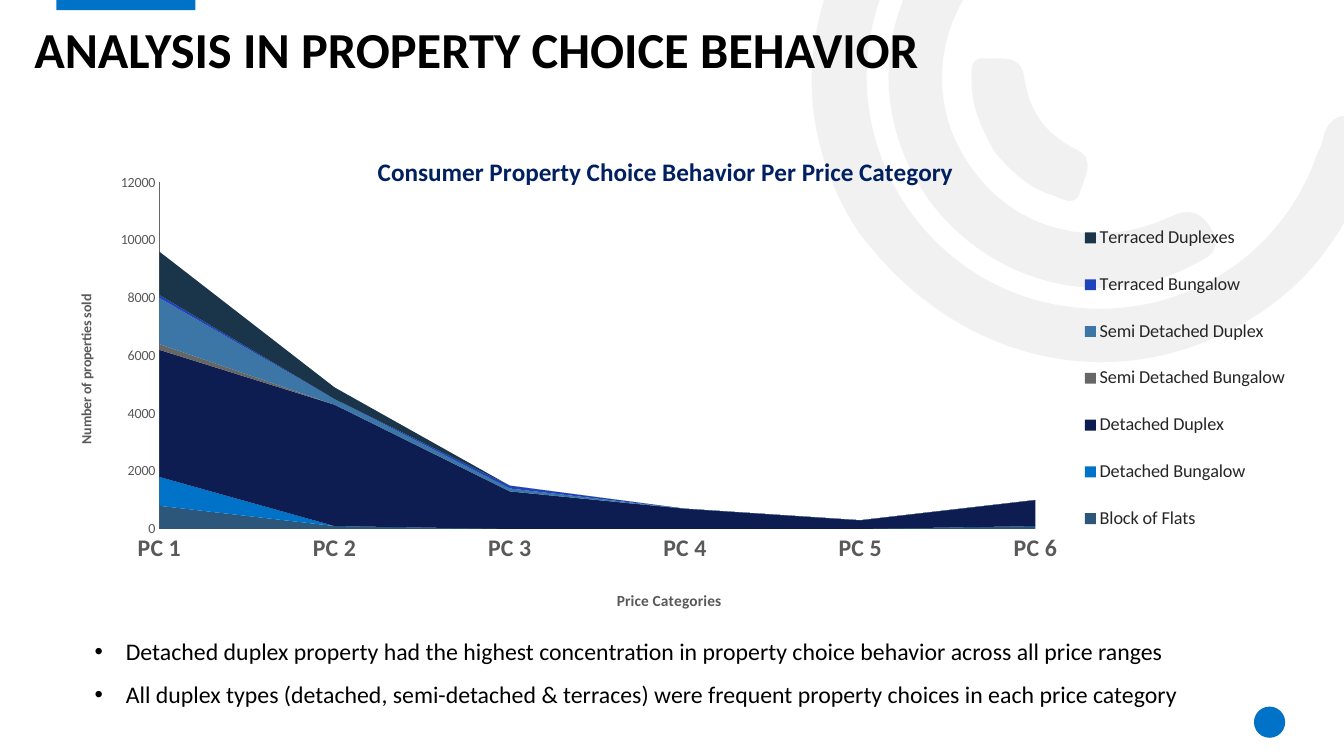
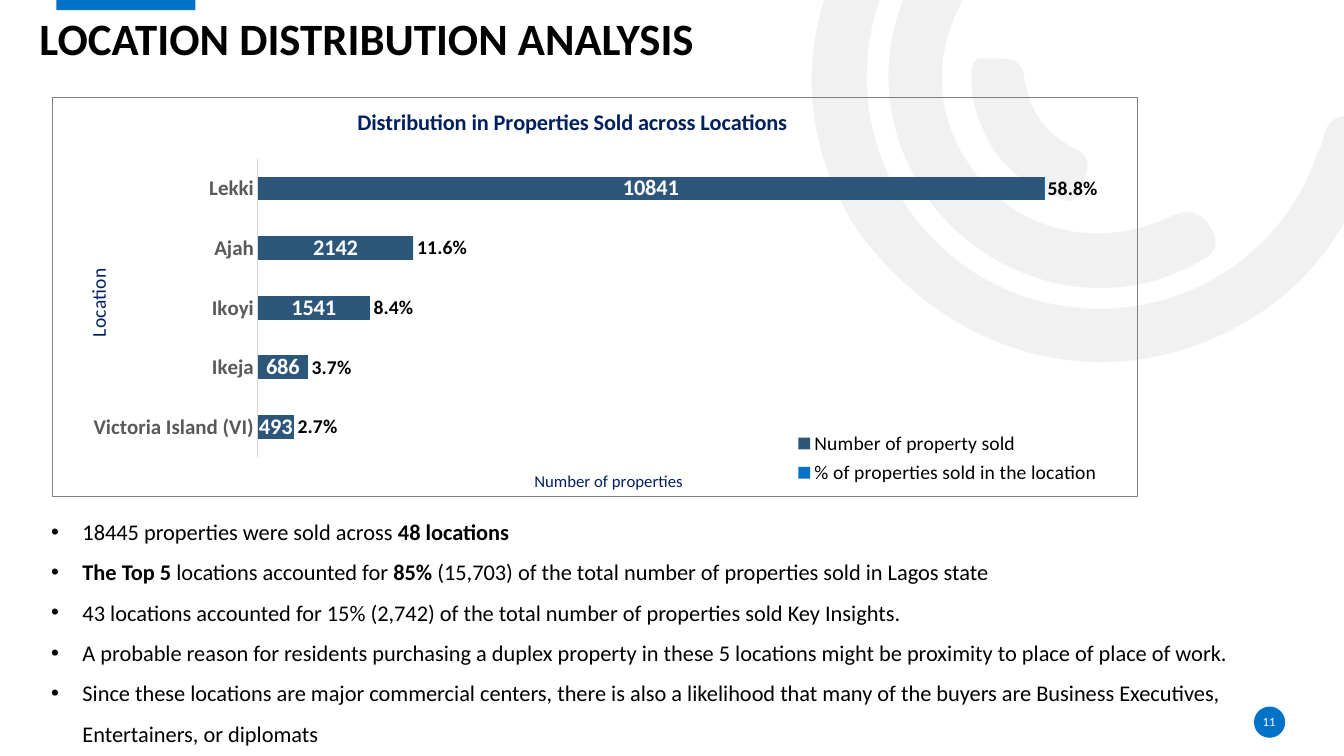
"""Build two slides on property sales: choice by price and by location."""
from lxml.etree import SubElement
from pptx import Presentation
from pptx.chart.data import CategoryChartData
from pptx.dml.color import RGBColor
from pptx.enum.chart import (XL_CHART_TYPE, XL_LABEL_POSITION,
                             XL_LEGEND_POSITION, XL_TICK_LABEL_POSITION,
                             XL_TICK_MARK)
from pptx.enum.shapes import MSO_SHAPE
from pptx.enum.text import MSO_ANCHOR, PP_ALIGN
from pptx.oxml.ns import qn
from pptx.util import Inches, Pt

FONT = "Calibri"
COLORS = {
    "black": "000000", "white": "FFFFFF", "ring": "E7E6E6",
    "accent": "0072C7", "head": "002060", "label": "595959",
    "legend": "262626", "axis": "666666", "pale": "D9D9D9",
    "frame": "808080", "steel": "2C567A", "navy": "0D1D51",
    "gray": "666666", "sky": "3C76A6", "royal": "1E44BC",
    "dark": "1A3449",
}
RINGS = [
    [(8.51, 2.29), (7.99, 1.49), (7.87, 0.5), (8.38, -0.5),
     (8.9, -1.52), (9.76, -2.03), (10.9, -2.07),
     (11.05, -2.07), (11.21, -2.1), (11.31, -1.95),
     (11.44, -1.75), (11.27, -1.54), (10.98, -1.54),
     (9.67, -1.54), (8.65, -0.59), (8.6, 0.68),
     (8.56, 1.81), (9.36, 2.81), (10.46, 3.02),
     (11.6, 3.24), (12.7, 2.61), (13.07, 1.52),
     (13.09, 1.48), (13.11, 1.44), (13.12, 1.4),
     (13.16, 1.19), (13.27, 1.11), (13.49, 1.17),
     (13.73, 1.24), (13.67, 1.41), (13.61, 1.56),
     (13.34, 2.45), (12.78, 3.07), (11.91, 3.41),
     (10.7, 3.87), (9.36, 3.45), (8.51, 2.29)],
    [(9.22, 1.99), (8.62, 1.15), (8.69, 0.07), (9.4, -0.68),
     (9.51, -0.79), (9.62, -0.95), (9.8, -0.78),
     (9.95, -0.64), (9.97, -0.5), (9.79, -0.32),
     (9.25, 0.26), (9.2, 1.08), (9.65, 1.68),
     (10.08, 2.29), (10.88, 2.49), (11.61, 2.15),
     (11.82, 2.05), (11.93, 2.12), (12.03, 2.29),
     (12.13, 2.5), (11.97, 2.56), (11.83, 2.63),
     (10.96, 3.1), (9.83, 2.82), (9.22, 1.99)],
    [(9.87, 1.51), (9.75, 1.3), (9.64, 1.07), (9.64, 0.82),
     (9.64, 0.73), (9.61, 0.57), (9.76, 0.58),
     (9.92, 0.59), (10.13, 0.53), (10.16, 0.76),
     (10.21, 1.1), (10.36, 1.32), (10.67, 1.48),
     (10.88, 1.57), (10.76, 1.76), (10.72, 1.89),
     (10.68, 2.06), (10.55, 1.98), (10.45, 1.94),
     (10.21, 1.87), (10.03, 1.7), (9.87, 1.51)],
]


def rgb(name):
    return RGBColor.from_string(COLORS[name])


def style(font, size, color, bold=False):
    font.name, font.size, font.bold = FONT, Pt(size), bold
    font.color.rgb = rgb(color)


def paint(shape, color):
    shape.shadow.inherit = False
    shape.fill.solid()
    shape.fill.fore_color.rgb = rgb(color)
    shape.line.fill.background()
    return shape


def bend(shape):
    """Turn each three line segments of a freeform into one cubic curve."""
    route = next(shape._element.iter(qn("a:path")))
    lines = route.findall(qn("a:lnTo"))
    for i in range(0, len(lines), 3):
        curve = route.makeelement(qn("a:cubicBezTo"))
        lines[i].addprevious(curve)
        for line in lines[i:i + 3]:
            curve.append(line[0])
            route.remove(line)


def add_ring(slide, points):
    spots = [(Inches(x), Inches(y)) for x, y in points]
    pen = slide.shapes.build_freeform(*spots[0])
    pen.add_line_segments(spots[1:], close=True)
    ring = paint(pen.convert_to_shape(), "ring")
    bend(ring)
    tint = ring._element.spPr.find(".//" + qn("a:srgbClr"))
    SubElement(tint, qn("a:alpha")).set("val", "53000")


def add_mark(slide, kind, color, *box):
    paint(slide.shapes.add_shape(kind, *map(Inches, box)), color)


def add_box(slide, *box):
    frame = slide.shapes.add_textbox(*map(Inches, box)).text_frame
    frame.word_wrap = True
    return frame


def add_line(slide, text, size, color, box, anchor, bold=False):
    """Add a one-line box without margins and return its paragraph."""
    frame = add_box(slide, *box)
    frame.margin_left = frame.margin_right = 0
    frame.margin_top = frame.margin_bottom = 0
    frame.vertical_anchor = anchor
    frame.text = text
    style(frame.paragraphs[0].font, size, color, bold)
    return frame.paragraphs[0]


def add_base(deck, title, size, box, number=""):
    """Add a slide with rings, top tab, page dot, title and foot panel."""
    slide = deck.slides.add_slide(deck.slide_layouts[6])
    for points in RINGS:
        add_ring(slide, points)
    add_mark(slide, MSO_SHAPE.RECTANGLE, "accent", 0.56, -0.02, 1.38, 0.12)
    add_mark(slide, MSO_SHAPE.OVAL, "accent", 12.44, 7.01, 0.31, 0.31)
    head = add_line(slide, title, size, "black", box, MSO_ANCHOR.BOTTOM, True)
    head.line_spacing = 0.9
    if number:
        page = add_line(slide, number, 9, "white", (12.43, 7.06, 0.32, 0.2),
                        MSO_ANCHOR.MIDDLE)
        page.alignment = PP_ALIGN.CENTER
    add_mark(slide, MSO_SHAPE.RECTANGLE, "white", 0.26, 6.88, 4.69, 0.62)
    return slide


def add_list(slide, box, size, items):
    """Add bullets; each item is a list of (text, bold) runs."""
    frame = add_box(slide, *box)
    for i, item in enumerate(items):
        para = frame.add_paragraph() if i else frame.paragraphs[0]
        para.line_spacing = 1.5
        props = para._p.get_or_add_pPr()
        props.set("marL", str(Inches(0.31)))
        props.set("indent", str(Inches(-0.31)))
        SubElement(props, qn("a:buFont")).set("typeface", "Arial")
        SubElement(props, qn("a:buChar")).set("char", "•")
        style(para.font, size, "black")
        for text, bold in item:
            run = para.add_run()
            run.text = text
            if bold:
                run.font.bold = True


def place(parent, after, x, y, w=None, h=None, inner=False):
    """Set a chart part's place as fractions of the chart."""
    for old in parent.findall(qn("c:layout")):
        parent.remove(old)
    layout = SubElement(parent, qn("c:layout"))
    spot = SubElement(layout, qn("c:manualLayout"))
    pairs = [("layoutTarget", "inner")] if inner else []
    pairs += [("xMode", "edge"), ("yMode", "edge"), ("x", x), ("y", y)]
    if w:
        pairs += [("w", w), ("h", h)]
    for tag, val in pairs:
        SubElement(spot, qn("c:" + tag)).set("val", str(val))
    if after:
        parent.find(qn(after)).addnext(layout)
    else:
        parent.insert(0, layout)


def label(title, text, size, color, bold, x, y, turn=False):
    title.text_frame.text = text
    style(title.text_frame.paragraphs[0].font, size, color, bold)
    if turn:
        for body in title._element.iter(qn("a:bodyPr")):
            body.set("rot", "-5400000")
            body.set("vert", "horz")
    place(title._element, "c:tx", x, y)


def set_axis(axis, size, bold, line):
    axis.has_major_gridlines = False
    axis.major_tick_mark = axis.minor_tick_mark = XL_TICK_MARK.NONE
    style(axis.tick_labels.font, size, "label", bold)
    if line:
        axis.format.line.color.rgb = rgb(line)
        axis.format.line.width = Pt(0.75)
    else:
        axis.format.line.fill.background()


def set_frame(chart, color=None):
    """Clear the chart's ground and give it an optional border."""
    root = chart.element
    props = SubElement(root, qn("c:spPr"))
    SubElement(props, qn("a:noFill"))
    line = SubElement(props, qn("a:ln"), w=str(Pt(0.75)))
    if color:
        fill = SubElement(line, qn("a:solidFill"))
        SubElement(fill, qn("a:srgbClr")).set("val", COLORS[color])
    else:
        SubElement(line, qn("a:noFill"))
    root.find(qn("c:chart")).addnext(props)


def add_graph(slide, kind, box, cats, rows, plot):
    """Add a chart; each row is (name, color, values)."""
    data = CategoryChartData()
    data.categories = cats
    for name, _, vals in rows:
        data.add_series(name, vals)
    chart = slide.shapes.add_chart(kind, *map(Inches, box), data).chart
    style(chart.font, 10, "black")
    chart.plots[0].vary_by_categories = False
    for item, (_, color, _) in zip(chart.plots[0].series, rows):
        item.format.fill.solid()
        item.format.fill.fore_color.rgb = rgb(color)
    chart.value_axis.minimum_scale = 0
    chart.value_axis.maximum_scale = 12000
    place(chart.element.find(".//" + qn("c:plotArea")), None, *plot, inner=True)
    return chart


def add_key(chart, side, size, color, spot):
    chart.has_legend = True
    key = chart.legend
    key.position = side
    key.include_in_layout = False
    style(key.font, size, color)
    place(key._element, "c:legendPos", *spot)


def add_tags(item, size, color, spot, form):
    tags = item.data_labels
    tags.show_value = True
    tags.number_format, tags.number_format_is_linked = form, False
    tags.position = spot
    style(tags.font, size, color, True)


def add_choice(deck):
    slide = add_base(deck, "ANALYSIS IN PROPERTY CHOICE BEHAVIOR", 36, (0.34, 0.13, 12.19, 0.66))
    add_list(slide, (0.84, 6.13, 11.28, 0.91), 17, [
        [("Detached duplex property had the highest concentration in property choice behavior across all price ranges", False)],
        [("All duplex types (detached, semi-detached & terraces) were frequent property choices in each price category", False)],
    ])
    rows = [
        ("Block of Flats", "steel", (800, 100, 0, 0, 0, 100)),
        ("Detached Bungalow", "accent", (1000, 0, 0, 0, 0, 0)),
        ("Detached Duplex", "navy", (4400, 4200, 1300, 700, 300, 900)),
        ("Semi Detached Bungalow", "gray", (200, 0, 0, 0, 0, 0)),
        ("Semi Detached Duplex", "sky", (1600, 200, 100, 0, 0, 0)),
        ("Terraced Bungalow", "royal", (100, 0, 100, 0, None, 0)),
        ("Terraced Duplexes", "dark", (1500, 400, None, 0, None, None)),
    ]
    chart = add_graph(slide, XL_CHART_TYPE.AREA_STACKED, (0.74, 1.34, 12.19, 4.79),
                      [f"PC {n}" for n in range(1, 7)], rows, (0.069, 0.098, 0.713, 0.718))
    label(chart.chart_title, "Consumer Property Choice Behavior Per Price Category",
          18, "head", True, 0.243, 0.031)
    set_axis(chart.category_axis, 17, True, "axis")
    set_axis(chart.value_axis, 10, False, "axis")
    chart.value_axis.major_unit = 2000
    label(chart.category_axis.axis_title, "Price Categories", 11, "label", True, 0.439, 0.937)
    label(chart.value_axis.axis_title, "Number of properties sold",
          10, "label", True, 0, 0.325, True)
    add_key(chart, XL_LEGEND_POSITION.RIGHT, 13, "legend", (0.816, 0.139, 0.175, 0.73))
    set_frame(chart)


def add_place(deck):
    slide = add_base(deck, "LOCATION DISTRIBUTION ANALYSIS", 32, (0.39, 0.06, 12.19, 0.59), "11")
    rows = [
        ("Number of property sold", "steel", (493, 686, 1541, 2142, 10841)),
        ("% of properties sold in the location", "accent", (0.027, 0.037, 0.084, 0.116, 0.588)),
    ]
    chart = add_graph(slide, XL_CHART_TYPE.BAR_STACKED, (0.52, 0.96, 10.77, 3.97),
                      ["Victoria Island (VI)", "Ikeja", "Ikoyi", "Ajah", "Lekki"],
                      rows, (0.189, 0.154, 0.802, 0.748))
    label(chart.chart_title, "Distribution in Properties Sold across Locations",
          16, "head", True, 0.277, 0.015)
    set_axis(chart.category_axis, 15, True, "pale")
    set_axis(chart.value_axis, 10, False, None)
    chart.value_axis.tick_label_position = XL_TICK_LABEL_POSITION.NONE
    label(chart.category_axis.axis_title, "Location", 14, "head", False, 0.026, 0.42, True)
    label(chart.value_axis.axis_title, "Number of properties", 12, "head", False, 0.441, 0.927)
    plot = chart.plots[0]
    plot.gap_width, plot.overlap = 150, 100
    add_tags(plot.series[0], 16, "white", XL_LABEL_POSITION.CENTER, "0")
    add_tags(plot.series[1], 14, "black", XL_LABEL_POSITION.INSIDE_BASE, "0.0%")
    add_key(chart, XL_LEGEND_POSITION.BOTTOM, 14, "black", (0.68, 0.825, 0.29, 0.16))
    set_frame(chart, "frame")
    add_list(slide, (0.41, 4.96, 12.02, 2.48), 16, [
        [("18445 properties were sold across ", False), ("48 locations", True)],
        [("The Top 5 ", True), ("locations accounted for ", False), ("85% ", True),
         ("(15,703) of the total number of properties sold in Lagos state", False)],
        [("43 locations accounted for 15% (2,742) of the total number of properties sold Key Insights.", False)],
        [("A probable reason for residents purchasing a duplex property in these 5 locations might be proximity to place of place of work.", False)],
        [("Since these locations are major commercial centers, there is also a likelihood that many of the buyers are Business Executives, Entertainers, or diplomats", False)],
    ])


def main():
    deck = Presentation()
    deck.slide_width, deck.slide_height = Inches(40 / 3), Inches(7.5)
    add_choice(deck)
    add_place(deck)
    deck.save("out.pptx")


if __name__ == "__main__":
    main()
